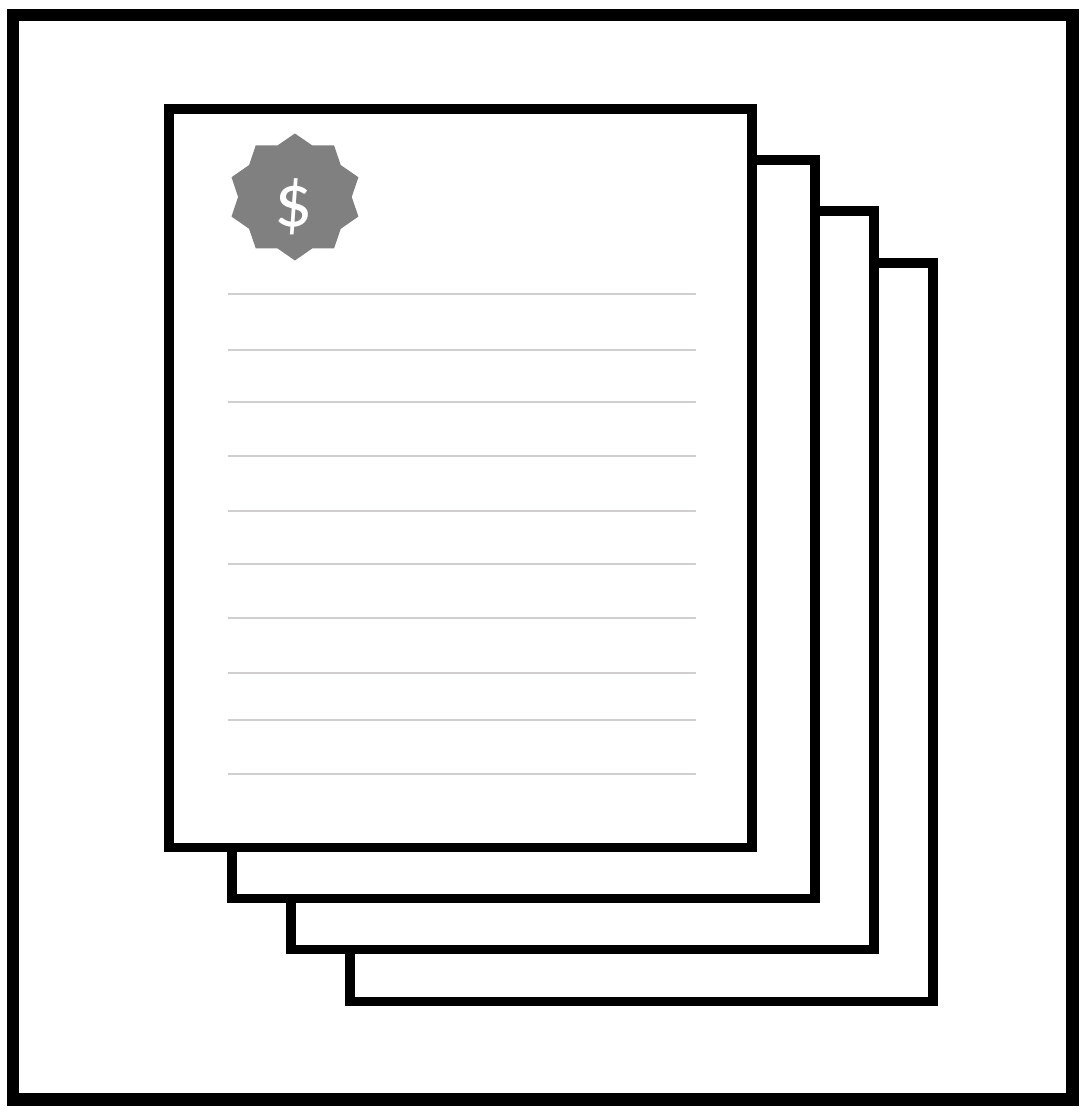
from dataclasses import dataclass

from lxml.etree import SubElement
from pptx import Presentation
from pptx.dml.color import RGBColor
from pptx.enum.shapes import MSO_CONNECTOR as CONNECTOR, MSO_SHAPE as SHAPE
from pptx.enum.text import MSO_AUTO_SIZE as AUTO_SIZE
from pptx.oxml.ns import qn
from pptx.util import Pt

EMU_PER_PX = 3020


@dataclass(frozen=True)
class Theme:
    ink: str = "000000"
    paper: str = "FFFFFF"
    rule: str = "D0CECE"
    seal: str = "808080"
    font: str = "Calibri"
    symbol_size: float = 18
    frame_line: float = 3
    page_line: float = 2.25
    rule_line: float = 0.5
    seal_line: float = 1


THEME = Theme()


def px(*lengths):
    return [length * EMU_PER_PX for length in lengths]


def rgb(value):
    return RGBColor.from_string(value)


def add_outlined(slide, kind, box, line, weight, fill=None):
    """Place a preset shape with a sharp-cornered outline."""
    shape = slide.shapes.add_shape(kind, *px(*box))
    shape.shadow.inherit = False
    if fill:
        shape.fill.solid()
        shape.fill.fore_color.rgb = rgb(fill)
    else:
        shape.fill.background()
    shape.line.color.rgb = rgb(line)
    shape.line.width = Pt(weight)
    SubElement(shape.line._get_or_add_ln(), qn("a:miter"), lim="800000")


def add_frame(slide, box):
    add_outlined(slide, SHAPE.RECTANGLE, box, THEME.ink, THEME.frame_line)


def add_pages(slide, box):
    """Stack four pages, the rearmost first."""
    left, top, width, height = box
    for shift_x, shift_y in ((181, 154), (122, 102), (63, 51), (0, 0)):
        page = (left + shift_x, top + shift_y, width, height)
        add_outlined(slide, SHAPE.RECTANGLE, page, THEME.ink,
                     THEME.page_line, THEME.paper)


def add_rules(slide, box):
    """Draw the writing lines of the front page."""
    left, top, width, _ = box
    for drop in (0, 56, 108, 162, 217, 270, 324, 379, 426, 480):
        y = top + drop
        rule = slide.shapes.add_connector(
            CONNECTOR.STRAIGHT, *px(left, y, left + width, y))
        rule.line.color.rgb = rgb(THEME.rule)
        rule.line.width = Pt(THEME.rule_line)
        SubElement(rule._element.spPr, qn("a:effectLst"))


def add_seal(slide, box):
    """Draw the star seal with its dollar sign."""
    left, top, width, height = box
    add_outlined(slide, SHAPE.STAR_10_POINT, box, THEME.seal,
                 THEME.seal_line, THEME.seal)
    symbol = slide.shapes.add_textbox(*px(left + 11, top, width - 22, height))
    frame = symbol.text_frame
    frame.word_wrap = False
    frame.auto_size = AUTO_SIZE.SHAPE_TO_FIT_TEXT
    dollar = frame.paragraphs[0].add_run()
    dollar.text = "$"
    dollar.font.name = THEME.font
    dollar.font.size = Pt(THEME.symbol_size)
    dollar.font.color.rgb = rgb(THEME.paper)


def add_document(slide, box):
    """Place the page stack and the content of its front page."""
    left, top, width, height = box
    add_pages(slide, box)
    add_rules(slide, (left + 59, top + 185, 468, 480))
    add_seal(slide, (left + 65, top + 27, 122, 122))


def main():
    deck = Presentation()
    deck.slide_width, deck.slide_height = px(1090, 1120)
    slide = deck.slides.add_slide(deck.slide_layouts[6])
    add_frame(slide, (13, 15, 1060, 1085))
    add_document(slide, (169, 109, 583, 739))
    deck.save("out.pptx")


if __name__ == "__main__":
    main()
